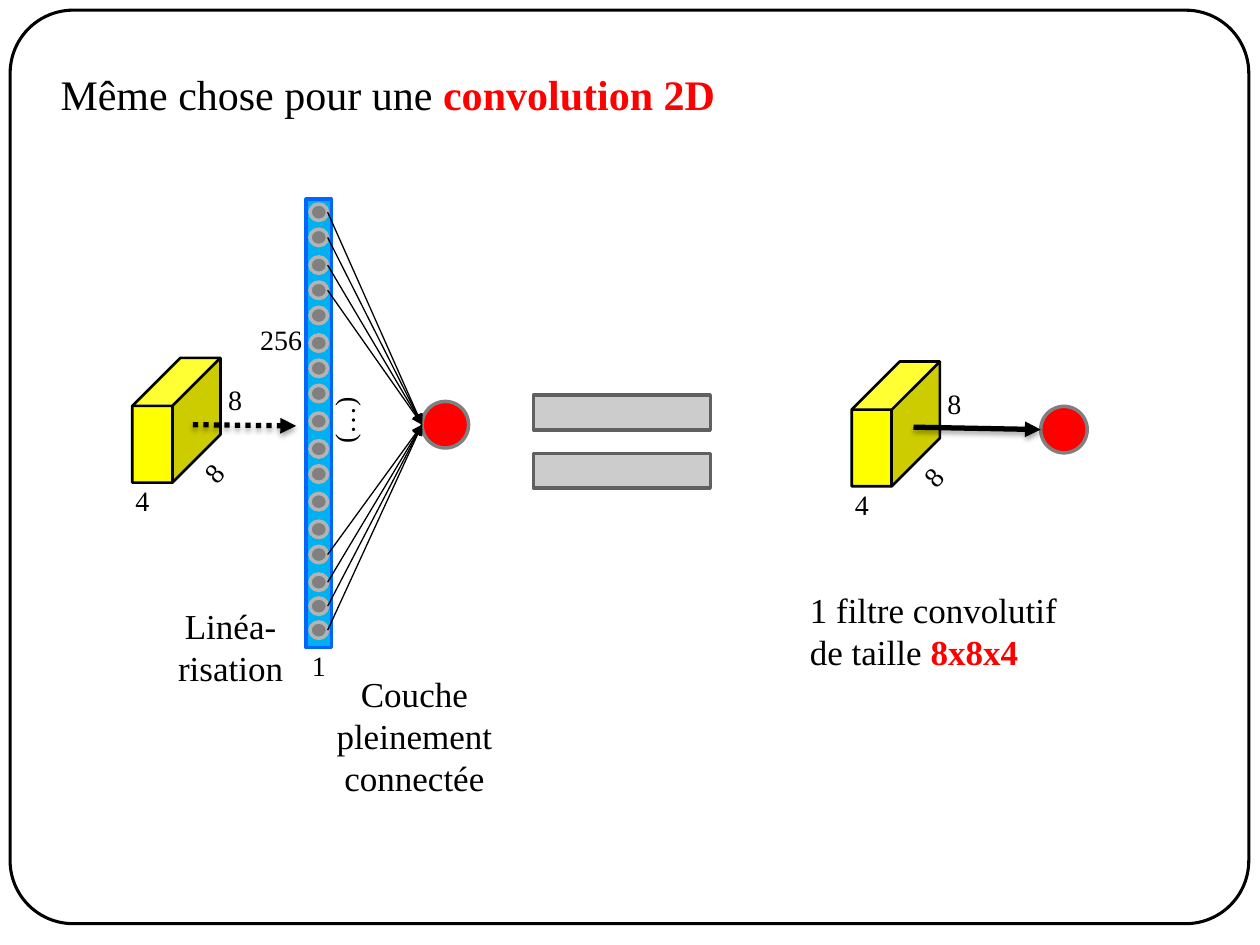
from dataclasses import dataclass
from itertools import accumulate

from lxml.etree import SubElement
from pptx import Presentation
from pptx.dml.color import RGBColor
from pptx.enum.dml import MSO_LINE
from pptx.enum.shapes import MSO_CONNECTOR, MSO_SHAPE
from pptx.enum.text import MSO_ANCHOR, MSO_AUTO_SIZE, PP_ALIGN
from pptx.oxml.ns import qn
from pptx.util import Pt


@dataclass(frozen=True)
class Theme:
    font: str = "Times New Roman"
    title: int = 24
    caption: int = 20
    label: int = 16
    ink: str = "000000"
    accent: str = "FF0000"
    volume: str = "FFFF00"
    column: str = "00B0F0"
    column_edge: str = "0066FF"
    neuron: str = "808080"
    neuron_edge: str = "B3B3B3"
    equals: str = "CCCCCC"
    equals_edge: str = "606060"


THEME = Theme()
NEURON_GAPS = [14.4, 15.8, 14.4, 14.4, 15.8, 14.4, 14.4, 15.8,
               15.8, 14.4, 15.8, 15.8, 14.4, 15.8, 13.7, 13.7]


def rgb(code):
    return RGBColor.from_string(code)


def write(frame, paragraphs, size, align):
    """Fill a text frame; each paragraph is a list of (text, is_key) runs."""
    settings = {"auto_size": MSO_AUTO_SIZE.NONE, "vertical_anchor": MSO_ANCHOR.TOP,
                "margin_left": Pt(7.2), "margin_right": Pt(7.2),
                "margin_top": Pt(3.6), "margin_bottom": Pt(3.6)}
    for name, value in settings.items():
        setattr(frame, name, value)
    for index, runs in enumerate(paragraphs):
        paragraph = frame.add_paragraph() if index else frame.paragraphs[0]
        paragraph.alignment = align
        for text, is_key in runs:
            run = paragraph.add_run()
            run.text = text
            for name, value in {"name": THEME.font, "size": Pt(size), "bold": is_key}.items():
                setattr(run.font, name, value)
            run.font.color.rgb = rgb(THEME.accent if is_key else THEME.ink)


def add_caption(slide, box, paragraphs, size=THEME.caption, align=PP_ALIGN.CENTER):
    caption = slide.shapes.add_textbox(*map(Pt, box))
    caption.text_frame.word_wrap = False
    write(caption.text_frame, paragraphs, size, align)
    return caption


def add_label(slide, center_x, center_y, text, rotation=0, width=40):
    height = 26.6
    box = (center_x - width / 2, center_y - height / 2, width, height)
    add_caption(slide, box, [[(text, False)]], THEME.label).rotation = rotation


def add_figure(slide, kind, box, fill, edge, weight=2, adjustments=()):
    figure = slide.shapes.add_shape(kind, *map(Pt, box))
    figure.shadow.inherit = False
    for index, value in enumerate(adjustments):
        figure.adjustments[index] = value
    if fill:
        figure.fill.solid()
        figure.fill.fore_color.rgb = rgb(fill)
    else:
        figure.fill.background()
    figure.line.color.rgb = rgb(edge)
    figure.line.width = Pt(weight)


def add_arrow(slide, start, end, weight, dash=None, shadow=False):
    arrow = slide.shapes.add_connector(MSO_CONNECTOR.STRAIGHT, *map(Pt, start + end))
    arrow.line.color.rgb = rgb(THEME.ink)
    arrow.line.width = Pt(weight)
    if dash:
        arrow.line.dash_style = dash
    SubElement(arrow.line._get_or_add_ln(), qn("a:tailEnd"), type="triangle")
    effects = SubElement(arrow._element.spPr, qn("a:effectLst"))
    if shadow:
        outer = SubElement(effects, qn("a:outerShdw"), blurRad=str(Pt(3.1)),
                           dist=str(Pt(1.8)), dir="5400000", rotWithShape="0")
        color = SubElement(outer, qn("a:srgbClr"), val=THEME.ink)
        SubElement(color, qn("a:alpha"), val="35000")


def add_title(slide, box):
    title = slide.shapes.title
    for name, value in zip(("left", "top", "width", "height"), box):
        setattr(title, name, Pt(value))
    title.text_frame.word_wrap = True
    write(title.text_frame, [[("Même chose pour une ", False), ("convolution 2D", True)]],
          THEME.title, PP_ALIGN.LEFT)


def add_volume(slide, box):
    """Draw the 8 x 8 x 4 input block with its three dimensions."""
    left, top, width, height = box
    add_figure(slide, MSO_SHAPE.CUBE, box, THEME.volume, THEME.ink, 1.5, [0.545])
    add_label(slide, left + width + 8.3, top + 24.1, "8")
    add_label(slide, left + 46.4, top + height - 5.4, "8", rotation=312.3)
    add_label(slide, left + 5.8, top + height + 10.4, "4")


def add_output_neuron(slide, left, center_y):
    size = 26.6
    add_figure(slide, MSO_SHAPE.OVAL, (left, center_y - size / 2, size, size),
               THEME.accent, THEME.neuron)


def add_dense_layer(slide, box, output):
    """Draw the flattened column and its links to the output neuron."""
    left, top, width, height = box
    neuron_width, neuron_height = 10.1, 9.4
    center_x = left + width / 2
    add_figure(slide, MSO_SHAPE.RECTANGLE, box, THEME.column, THEME.column_edge)
    centers = [top + offset for offset in accumulate(NEURON_GAPS, initial=7.5)]
    for center_y in centers:
        neuron = (center_x - neuron_width / 2, center_y - neuron_height / 2,
                  neuron_width, neuron_height)
        add_figure(slide, MSO_SHAPE.OVAL, neuron, THEME.neuron, THEME.neuron_edge)
    add_output_neuron(slide, *output)
    for center_y in centers[:4] + centers[-4:]:
        add_arrow(slide, (center_x + neuron_width / 2, center_y), output, 0.75)
    add_label(slide, left - 14.4, top + 80.2, "256")
    add_label(slide, center_x, top + height + 10, "1")
    add_label(slide, left + 21.6, top + 126.5, "(…)", rotation=270, width=42)


def add_dense_side(slide, left, top):
    """Left half: flattening followed by a fully connected layer."""
    add_volume(slide, (left, top, 50.4, 71.3))
    add_dense_layer(slide, (left + 99.4, top - 90.7, 14.4, 256.3), (left + 165.6, top + 38.2))
    add_arrow(slide, (left + 34.6, top + 38.2), (left + 93.6, top + 38.9), 3,
              MSO_LINE.ROUND_DOT, shadow=True)
    add_caption(slide, (left + 18.7, top + 137.5, 75, 55.4),
                [[("Linéa-", False)], [("risation", False)]])
    add_caption(slide, (left + 109.4, top + 176.4, 103.7, 80),
                [[("Couche", False)], [("pleinement", False)], [("connectée", False)]])


def add_convolution_side(slide, left, top):
    """Right half: the equivalent convolution filter."""
    output = (left + 108, top + 38.9)
    add_volume(slide, (left, top, 50.4, 71.3))
    add_output_neuron(slide, *output)
    add_arrow(slide, (left + 35.3, top + 37.5), output, 3, shadow=True)
    add_caption(slide, (left - 31, top + 126, 156.2, 55.4),
                [[("1 filtre convolutif", False)], [("de taille ", False), ("8x8x4", True)]],
                align=PP_ALIGN.LEFT)


def main():
    presentation = Presentation()
    presentation.slide_width, presentation.slide_height = Pt(720), Pt(540)
    slide = presentation.slides.add_slide(presentation.slide_layouts[5])

    # Frame and title
    add_figure(slide, MSO_SHAPE.ROUNDED_RECTANGLE, (5.8, 5.8, 707.8, 522),
               None, THEME.ink, 1.75, [0.069])
    add_title(slide, (27.4, 35.3, 661.7, 36))

    # The two equivalent networks and the equals sign between them
    add_dense_side(slide, 75.6, 204.5)
    add_convolution_side(slide, 486.7, 206.6)
    add_figure(slide, MSO_SHAPE.MATH_EQUAL, (286.6, 172.1, 137.5, 160.6),
               THEME.equals, THEME.equals_edge, 2, [0.124, 0.083])

    presentation.save("out.pptx")


if __name__ == "__main__":
    main()
